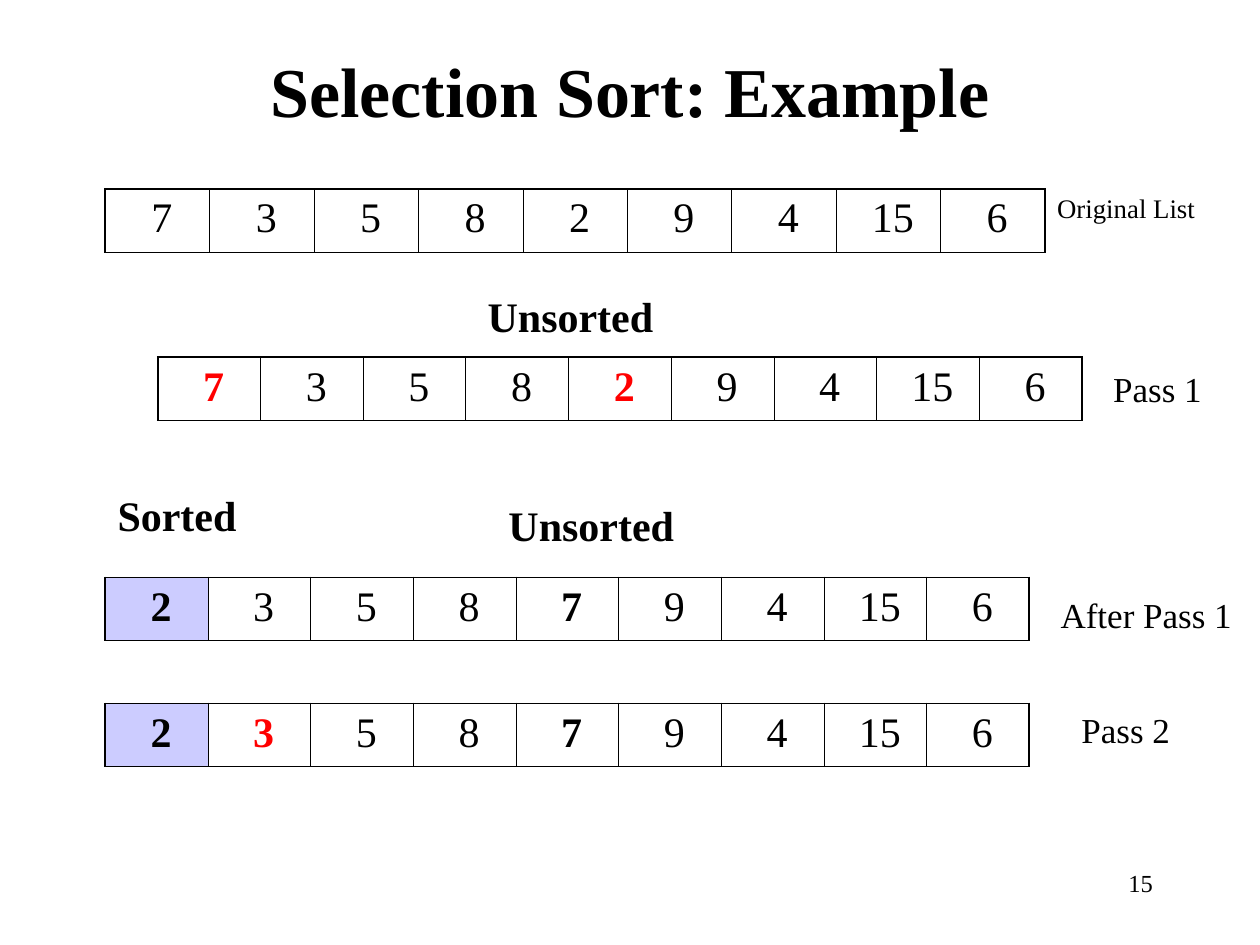
from lxml.etree import SubElement
from pptx import Presentation
from pptx.dml.color import RGBColor
from pptx.enum.text import MSO_ANCHOR, PP_ALIGN
from pptx.oxml.ns import qn
from pptx.util import Cm, Pt

BLACK = RGBColor(0, 0, 0)
RED = RGBColor(255, 0, 0)
LILAC = RGBColor(204, 204, 255)
FONT = "Times New Roman"
THIN, THICK = Pt(0.45), Pt(1.08)
LEFT, CENTER, RIGHT = PP_ALIGN.LEFT, PP_ALIGN.CENTER, PP_ALIGN.RIGHT
PAD = (0.25, 0.13)  # side and top insets, cm
NONE = (0, 0)

# Lists: left, top, width in cm, values, bold columns, red columns, sorted count
LISTS = [
    (2.12, 3.81, 18.95, [7, 3, 5, 8, 2, 9, 4, 15, 6], [], [], 0),
    (3.18, 7.2, 18.63, [7, 3, 5, 8, 2, 9, 4, 15, 6], [0, 4], [0, 4], 0),
    (2.12, 11.64, 18.63, [2, 3, 5, 8, 7, 9, 4, 15, 6], [0, 4], [], 1),
    (2.12, 14.18, 18.63, [2, 3, 5, 8, 7, 9, 4, 15, 6], [0, 1, 4], [1], 1),
]
ROW = 1.27

# Labels: text, left, top, width, height in cm, size, bold, alignment, insets
LABELS = [
    ("Selection Sort: Example", 1.9, 0.85, 21.6, 1.9, 40, True, CENTER, NONE),
    ("Original List", 21.06, 3.81, 3.9, 0.95, 15.3, False, LEFT, PAD),
    ("Unsorted", 9.58, 5.72, 4.02, 1.27, 24, True, LEFT, PAD),
    ("Pass 1", 22.44, 7.41, 2.96, 0.95, 20, False, LEFT, NONE),
    ("Sorted", 2.12, 9.74, 4.02, 1.27, 24, True, LEFT, PAD),
    ("Unsorted", 10, 9.95, 4.02, 1.27, 24, True, LEFT, PAD),
    ("After Pass 1", 21.38, 11.96, 3.81, 1.16, 20, False, LEFT, NONE),
    ("Pass 2", 21.8, 14.29, 2.96, 0.95, 20, False, LEFT, NONE),
    ("15", 18.2, 17.36, 5.29, 1.27, 14, False, RIGHT, PAD),
]


def style(para, size, bold, color, align):
    para.alignment = align
    font = para.runs[0].font
    font.name, font.size, font.bold = FONT, Pt(size), bold
    font.color.rgb = color


def border(cell, widths):
    props = cell._tc.get_or_add_tcPr()
    for i, (side, width) in enumerate(zip("LRTB", widths)):
        line = SubElement(props, qn("a:ln" + side), w=str(int(width)))
        fill = SubElement(line, qn("a:solidFill"))
        SubElement(fill, qn("a:srgbClr"), val=str(BLACK))
        props.insert(i, line)


def add_list(left, top, width, values, bolds, reds, done):
    count = len(values)
    table = slide.shapes.add_table(
        1, count, Cm(left), Cm(top), Cm(width), Cm(ROW)).table
    table.first_row = table.horz_banding = False
    for i, value in enumerate(values):
        table.columns[i].width = Cm(width / count)
        cell = table.cell(0, i)
        cell.margin_left, cell.margin_right = Cm(0.43), Cm(0.25)
        cell.margin_top = cell.margin_bottom = Cm(0.13)
        cell.text_frame.text = str(value)
        style(cell.text_frame.paragraphs[0], 24, i in bolds,
              RED if i in reds else BLACK, CENTER)
        if i < done:
            cell.fill.solid()
            cell.fill.fore_color.rgb = LILAC
        else:
            cell.fill.background()
        border(cell, (THIN if i else THICK,
                      THICK if i == count - 1 else THIN, THICK, THIN))


def add_label(text, left, top, width, height, size, bold, align, pad):
    box = slide.shapes.add_textbox(Cm(left), Cm(top), Cm(width), Cm(height))
    frame = box.text_frame
    frame.word_wrap = True
    frame.margin_left = frame.margin_right = Cm(pad[0])
    frame.margin_top = frame.margin_bottom = Cm(pad[1])
    frame.text = text
    style(frame.paragraphs[0], size, bold, BLACK, align)
    return frame


deck = Presentation()
deck.slide_width, deck.slide_height = Cm(25.4), Cm(19.05)
slide = deck.slides.add_slide(deck.slide_layouts[6])

# Title and labels
frames = [add_label(*label) for label in LABELS]
frames[0].vertical_anchor = MSO_ANCHOR.MIDDLE
frames[1].paragraphs[0].line_spacing = 0.9

# Number lists
for item in LISTS:
    add_list(*item)

deck.save("out.pptx")
